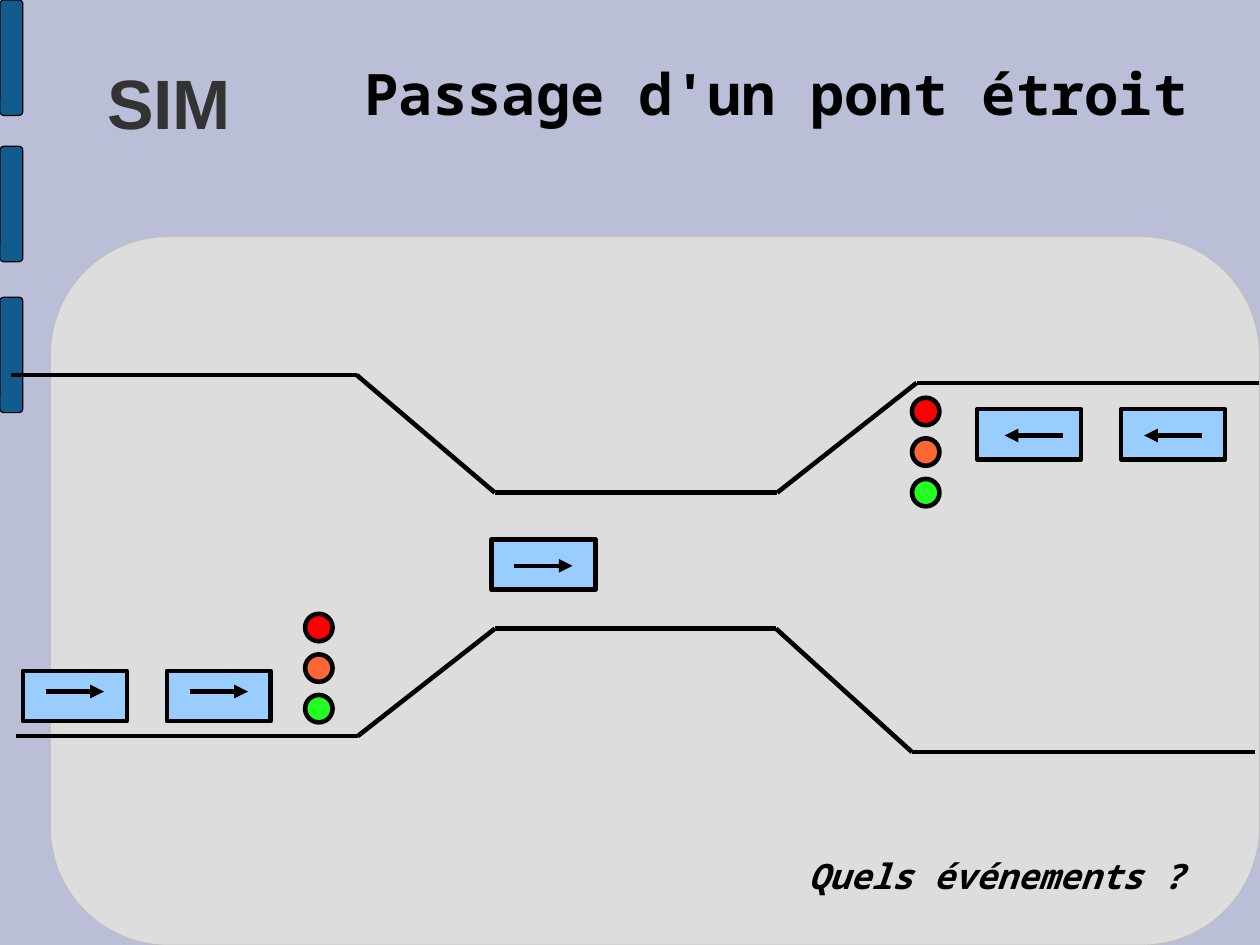
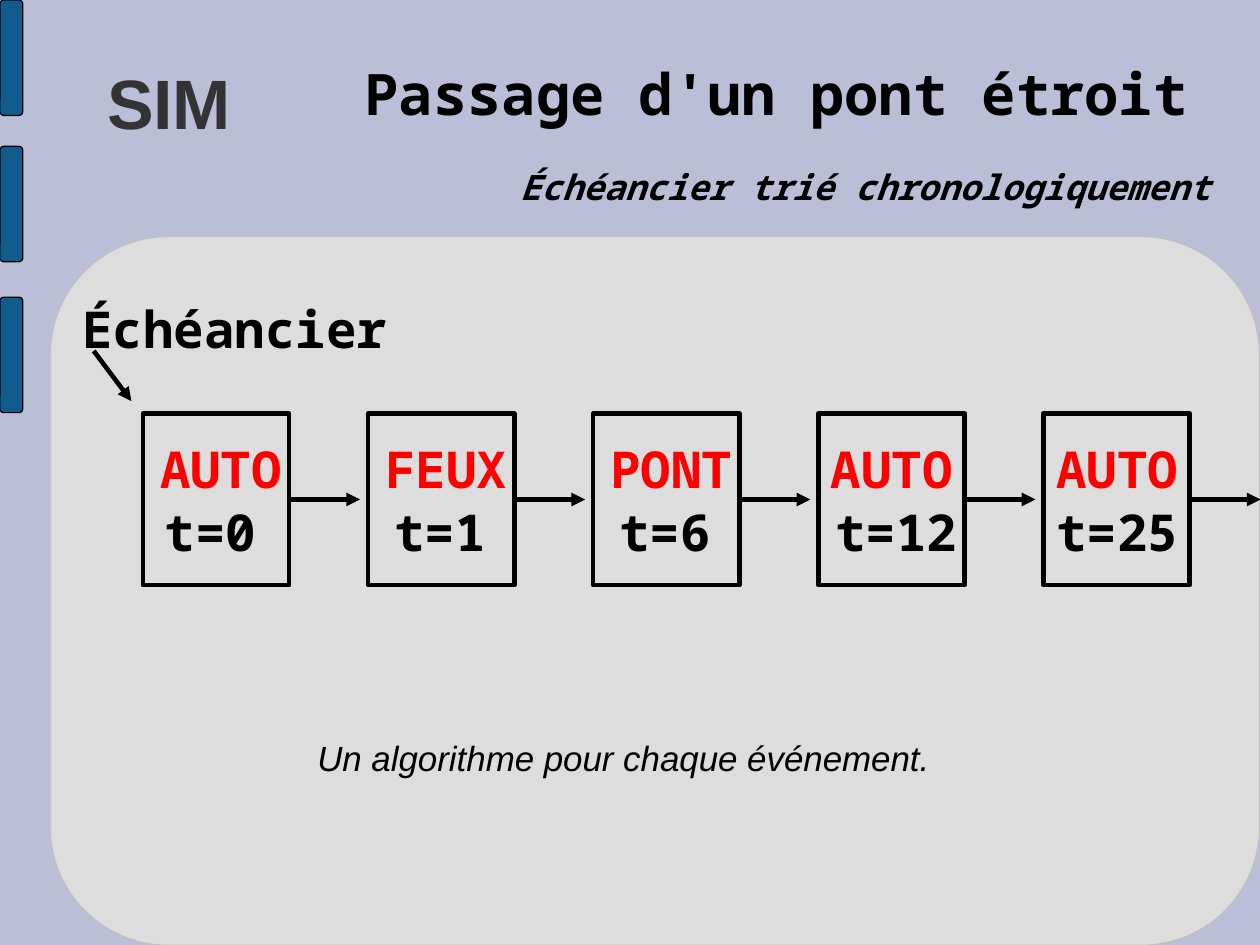
from lxml.etree import SubElement
from pptx import Presentation
from pptx.dml.color import RGBColor
from pptx.enum.shapes import MSO_CONNECTOR as CONNECTOR, MSO_SHAPE as SHAPE
from pptx.enum.text import MSO_ANCHOR as ANCHOR, PP_ALIGN as ALIGN
from pptx.oxml.ns import qn
from pptx.util import Emu, Inches, Pt

MONO = "Noto Sans Mono"
BLACK = "000000"
RED = "FF0000"
CAR_BLUE = "99CCFF"
STROKE = 2.89
color = RGBColor.from_string


def draw(slide, geometry, x, y, w, h, fill=None, line=BLACK, weight=STROKE):
    shape = slide.shapes.add_shape(geometry, Inches(x), Inches(y), Inches(w), Inches(h))
    shape.shadow.inherit = False
    if fill:
        shape.fill.solid()
        shape.fill.fore_color.rgb = color(fill)
    else:
        shape.fill.background()
    shape.line.color.rgb = color(line)
    shape.line.width = Pt(weight)
    return shape


def write(slide, text, x, y, w, h, size, ink=BLACK, face=MONO, bold=True,
          italic=False, align=ALIGN.LEFT, anchor=ANCHOR.TOP):
    frame = slide.shapes.add_textbox(Inches(x), Inches(y), Inches(w), Inches(h)).text_frame
    frame.margin_left = frame.margin_right = frame.margin_top = frame.margin_bottom = 0
    frame.word_wrap = False
    frame.vertical_anchor = anchor
    paragraph = frame.paragraphs[0]
    paragraph.text = text
    paragraph.alignment = align
    font = paragraph.font
    font.name, font.size, font.bold, font.italic = face, Pt(size), bold, italic
    font.color.rgb = color(ink)


prs = Presentation()
prs.slide_width, prs.slide_height = Emu(10080625), Emu(7559675)
backdrop = prs.slide_master.background.fill
backdrop.solid()
backdrop.fore_color.rgb = color("BABED6")

bridge, schedule = [prs.slides.add_slide(prs.slide_layouts[6]) for _ in range(2)]
for slide in (bridge, schedule):
    draw(slide, SHAPE.ROUNDED_RECTANGLE, 0.44, 2.07, 10.58, 6.2, "DDDDDD", "C0C0C0", 0.75)
    for bar_y in (0, 1.28, 2.6):
        draw(slide, SHAPE.ROUNDED_RECTANGLE, 0, bar_y, 0.2, 1.01, "125C8D", weight=0.75)
    write(slide, "SIM", 0.49, 0.32, 1.98, 1.14, 44, "333333", "Arial",
          align=ALIGN.CENTER, anchor=ANCHOR.MIDDLE)
    write(slide, "Passage d'un pont étroit", 3.19, 0.51, 7.24, 0.66, 36)

upper_edge = [(0.1, 3.28), (3.12, 3.28), (4.33, 4.31), (6.8, 4.31), (8.02, 3.35), (11.02, 3.35)]
lower_edge = [(0.14, 6.44), (3.13, 6.44), (4.33, 5.5), (6.79, 5.5), (7.98, 6.58), (10.98, 6.58)]
strokes = []
for edge in (upper_edge, lower_edge):
    for start, end in zip(edge, edge[1:]):
        strokes.append((bridge, start, end, False, None))

for light_x, light_y in ((7.98, 3.48), (2.67, 5.37)):
    for i, lamp in enumerate((RED, "FF6633", "23FF23")):
        draw(bridge, SHAPE.OVAL, light_x, light_y + i * 0.355, 0.24, 0.24, lamp)

cars = [
    (0.2, 5.87, 0.4, 6.05, 0.51),
    (1.46, 5.87, 1.66, 6.05, 0.51),
    (4.3, 4.72, 4.5, 4.95, 0.51),
    (8.55, 3.58, 9.3, 3.81, -0.51),
    (9.81, 3.58, 10.52, 3.81, -0.51),
]
for car_x, car_y, arrow_x, arrow_y, travel in cars:
    draw(bridge, SHAPE.RECTANGLE, car_x, car_y, 0.91, 0.44, CAR_BLUE)
    strokes.append((bridge, (arrow_x, arrow_y), (arrow_x + travel, arrow_y), True, None))

write(bridge, "Quels événements ?", 7.07, 7.48, 3.31, 0.4, 22, italic=True)

write(schedule, "Échéancier trié chronologiquement", 4.55, 1.45, 6.06, 0.4, 22, italic=True)
write(schedule, "Échéancier", 0.72, 2.6, 2.68, 0.58, 32)
strokes.append((schedule, (0.82, 3.07), (1.15, 3.51), True, None))

events = [
    ("AUTO", 1.4, "t=0", 1.44, 0.82),
    ("FEUX", 3.37, "t=1", 3.45, 0.82),
    ("PONT", 5.34, "t=6", 5.42, 0.82),
    ("AUTO", 7.27, "t=12", 7.31, 1.08),
    ("AUTO", 9.24, "t=25", 9.24, 1.08),
]
for i, (event, event_x, time, time_x, time_w) in enumerate(events):
    cell_x = 1.25 + i * 1.97
    cell = draw(schedule, SHAPE.RECTANGLE, cell_x, 3.62, 1.28, 1.5)
    write(schedule, event, event_x, 3.83, 1.08, 0.58, 32, RED)
    write(schedule, time, time_x, 4.38, time_w, 0.58, 32)
    strokes.append((schedule, (cell_x + 1.28, 4.37), (cell_x + 1.9, 4.37), True, cell))

write(schedule, "Un algorithme pour chaque événement.", 2.73, 6.44, 5.45, 0.45, 22,
      face="Arial", bold=False, italic=True, align=ALIGN.CENTER)

for slide, start, end, arrow, origin in strokes:
    stroke = slide.shapes.add_connector(
        CONNECTOR.STRAIGHT, *[Inches(value) for value in start + end])
    if origin is not None:
        stroke.begin_connect(origin, 3)
    stroke.line.color.rgb = color(BLACK)
    stroke.line.width = Pt(STROKE)
    if arrow:
        SubElement(stroke.line._get_or_add_ln(), qn("a:tailEnd"), type="triangle")
    SubElement(stroke._element.spPr, qn("a:effectLst"))

prs.save("out.pptx")
